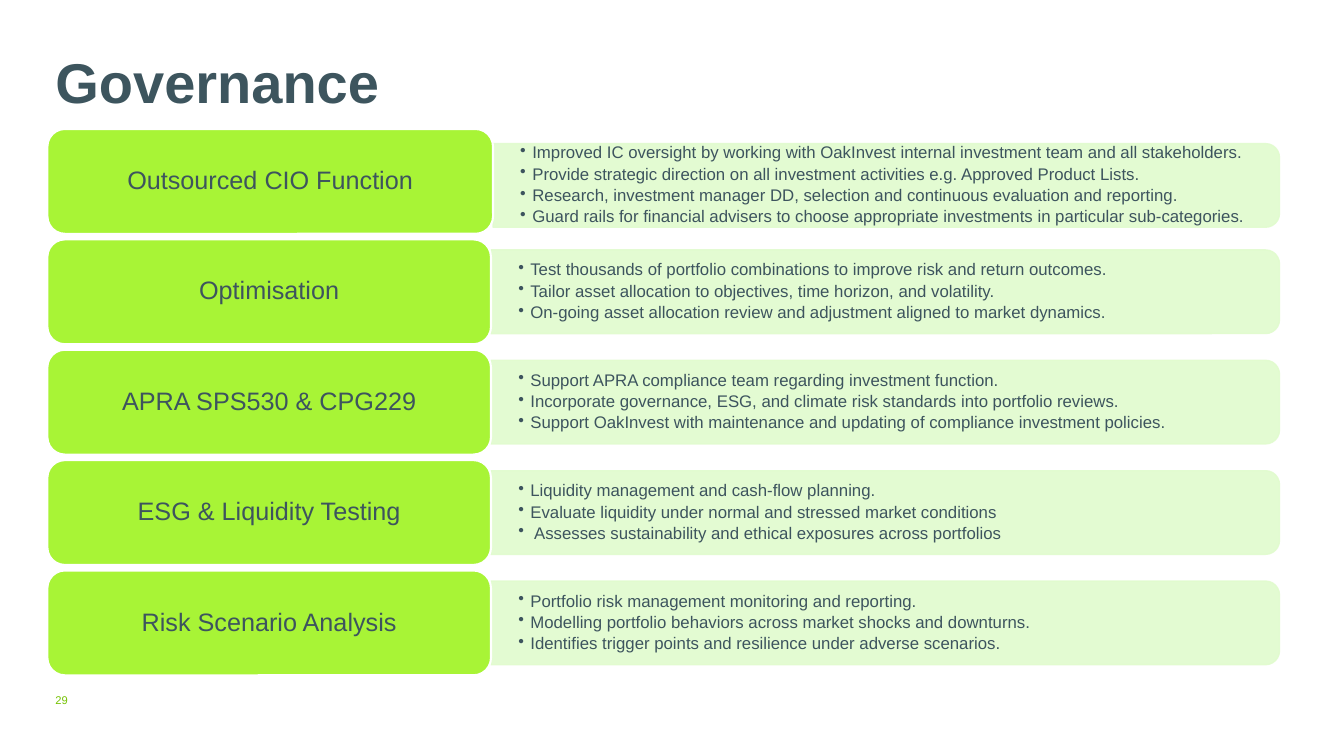
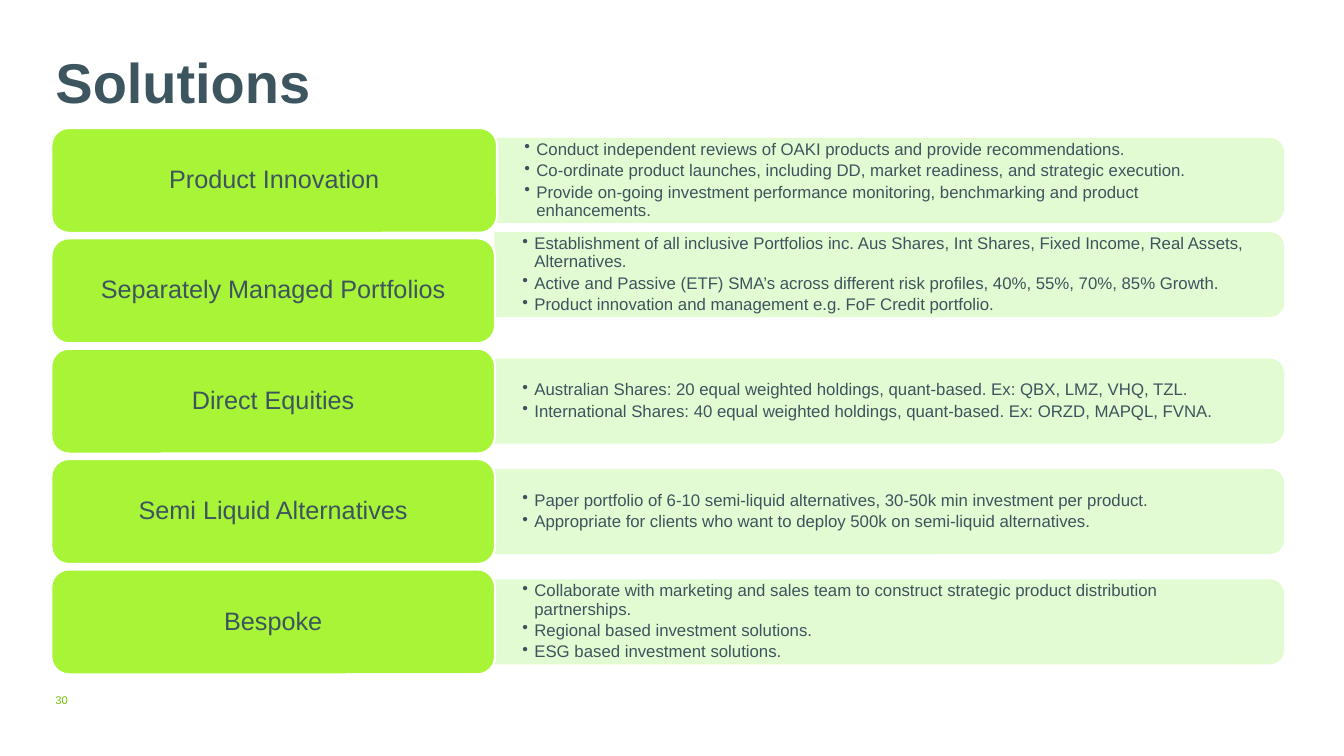
from lxml.etree import SubElement
from pptx import Presentation
from pptx.dml.color import RGBColor
from pptx.enum.shapes import MSO_SHAPE
from pptx.enum.text import MSO_ANCHOR, MSO_AUTO_SIZE, PP_ALIGN
from pptx.oxml.ns import qn
from pptx.util import Inches, Pt

ROW_PITCH = 1.095
LABEL_HEIGHT = 1.04
PANEL_HEIGHT = 0.83
PANEL_OPACITY = 90

SLIDES = [
    {
        "title": "Governance",
        "number": "29",
        "left": 0.47,
        "top": 1.28,
        "shifts": {0: 0.04},
        "rows": [
            ("Outsourced CIO Function", [
                "Improved IC oversight by working with OakInvest internal investment team and all stakeholders.",
                "Provide strategic direction on all investment activities e.g. Approved Product Lists.",
                "Research, investment manager DD, selection and continuous evaluation and reporting.",
                "Guard rails for financial advisers to choose appropriate investments in particular sub-categories.",
            ]),
            ("Optimisation", [
                "Test thousands of portfolio combinations to improve risk and return outcomes.",
                "Tailor asset allocation to objectives, time horizon, and volatility.",
                "On-going asset allocation review and adjustment aligned to market dynamics.",
            ]),
            ("APRA SPS530 & CPG229", [
                "Support APRA compliance team regarding investment function.",
                "Incorporate governance, ESG, and climate risk standards into portfolio reviews.",
                "Support OakInvest with maintenance and updating of compliance investment policies.",
            ]),
            ("ESG & Liquidity Testing", [
                "Liquidity management and cash-flow planning.",
                "Evaluate liquidity under normal and stressed market conditions",
                " Assesses sustainability and ethical exposures across portfolios",
            ]),
            ("Risk Scenario Analysis", [
                "Portfolio risk management monitoring and reporting.",
                "Modelling portfolio behaviors across market shocks and downturns.",
                "Identifies trigger points and resilience under adverse scenarios.",
            ]),
        ],
    },
    {
        "title": "Solutions",
        "number": "30",
        "left": 0.51,
        "top": 1.27,
        "shifts": {1: -0.16},
        "rows": [
            ("Product Innovation", [
                "Conduct independent reviews of OAKI products and provide recommendations.",
                "Co-ordinate product launches, including DD, market readiness, and strategic execution.",
                "Provide on-going investment performance monitoring, benchmarking and product enhancements.",
            ]),
            ("Separately Managed Portfolios", [
                "Establishment of all inclusive Portfolios inc. Aus Shares, Int Shares, Fixed Income, "
                "Real Assets, Alternatives.",
                "Active and Passive (ETF) SMA’s across different risk profiles, 40%, 55%, 70%, 85% Growth.",
                "Product innovation and management e.g. FoF Credit portfolio.",
            ]),
            ("Direct Equities", [
                "Australian Shares: 20 equal weighted holdings, quant-based. Ex: QBX, LMZ, VHQ, TZL.",
                "International Shares: 40 equal weighted holdings, quant-based. Ex: ORZD, MAPQL, FVNA.",
            ]),
            ("Semi Liquid Alternatives", [
                "Paper portfolio of 6-10 semi-liquid alternatives, 30-50k min investment per product.",
                "Appropriate for clients who want to deploy 500k on semi-liquid alternatives.",
            ]),
            ("Bespoke", [
                "Collaborate with marketing and sales team to construct strategic product distribution partnerships.",
                "Regional based investment solutions.",
                "ESG based investment solutions.",
            ]),
        ],
    },
]


def color(value):
    return RGBColor.from_string(value)


class SlideBuilder:
    font = "Arial"
    title_color = "3D555E"
    text_color = "3D545E"
    number_color = "76C204"
    label_color = "A8F436"
    panel_color = "E1FBCE"
    edge_color = "FFFFFF"

    def __init__(self, deck):
        self.deck = deck
        self.slide = None

    def start(self, title, number):
        self.slide = self.deck.slides.add_slide(self.deck.slide_layouts[5])
        self.title(title)
        self.page_number(number)

    def frame(self, shape, anchor, side=0.0):
        frame = shape.text_frame
        frame.word_wrap = True
        frame.auto_size = MSO_AUTO_SIZE.NONE
        frame.vertical_anchor = anchor
        frame.margin_left = frame.margin_right = Inches(side)
        frame.margin_top = frame.margin_bottom = 0
        return frame

    def add_text(self, para, text, size, text_color, align=PP_ALIGN.LEFT, bold=False):
        para.alignment = align
        para.line_spacing = 0.9
        span = para.add_run()
        span.text = text
        span.font.name = self.font
        span.font.size = Pt(size)
        span.font.bold = bold
        span.font.color.rgb = color(text_color)

    def title(self, text):
        box = self.slide.shapes.title
        box.left, box.top = Inches(0.55), Inches(0.55)
        box.width, box.height = Inches(11.26), Inches(1.44)
        frame = self.frame(box, MSO_ANCHOR.TOP)
        self.add_text(frame.paragraphs[0], text, 40, self.title_color, bold=True)

    def page_number(self, text):
        box = self.slide.shapes.add_textbox(Inches(0.55), Inches(6.84), Inches(0.42), Inches(0.22))
        frame = self.frame(box, MSO_ANCHOR.MIDDLE)
        self.add_text(frame.paragraphs[0], text, 8, self.number_color)

    def shape(self, kind, left, top, width, height, fill, line, weight):
        shape = self.slide.shapes.add_shape(kind, Inches(left), Inches(top), Inches(width), Inches(height))
        shape.shadow.inherit = False
        shape.fill.solid()
        shape.fill.fore_color.rgb = color(fill)
        shape.line.color.rgb = color(line)
        shape.line.width = Pt(weight)
        return shape

    def panel(self, left, middle, width):
        shape = self.shape(
            MSO_SHAPE.ROUND_2_SAME_RECTANGLE,
            left + (width - PANEL_HEIGHT) / 2, middle - width / 2, PANEL_HEIGHT, width,
            self.panel_color, self.panel_color, 1,
        )
        shape.rotation = 90
        for tint in shape._element.spPr.iter(qn("a:srgbClr")):
            SubElement(tint, qn("a:alpha"), val=str(PANEL_OPACITY * 1000))

    def bullets(self, left, middle, width, items):
        box = self.slide.shapes.add_textbox(
            Inches(left), Inches(middle - PANEL_HEIGHT / 2), Inches(width), Inches(PANEL_HEIGHT))
        frame = self.frame(box, MSO_ANCHOR.MIDDLE, 0.27)
        for index, item in enumerate(items):
            para = frame.add_paragraph() if index else frame.paragraphs[0]
            para.space_after = Pt(2.3)
            properties = para._p.get_or_add_pPr()
            properties.set("marL", str(Inches(0.12)))
            properties.set("indent", str(-Inches(0.12)))
            SubElement(properties, qn("a:buChar"), char="•")
            self.add_text(para, item, 12, self.text_color)

    def label(self, left, top, width, text):
        shape = self.shape(MSO_SHAPE.ROUNDED_RECTANGLE, left, top, width, LABEL_HEIGHT,
                           self.label_color, self.edge_color, 1.5)
        frame = self.frame(shape, MSO_ANCHOR.MIDDLE, 0.07)
        self.add_text(frame.paragraphs[0], text, 18, self.text_color, PP_ALIGN.CENTER)

    def rows(self, left, top, rows, shifts):
        right = left + 12.22
        for index, (name, items) in enumerate(rows):
            row_top = top + index * ROW_PITCH
            middle = row_top + LABEL_HEIGHT / 2 + shifts.get(index, 0)
            label_width = 4.4 if index else 4.42
            panel_left = left + label_width
            panel_width = right - panel_left
            self.panel(panel_left, middle, panel_width)
            self.bullets(panel_left, middle, panel_width - 0.04, items)
            self.label(left, row_top, label_width, name)


def main():
    deck = Presentation()
    deck.slide_width, deck.slide_height = Inches(13.33), Inches(7.5)
    builder = SlideBuilder(deck)
    for page in SLIDES:
        builder.start(page["title"], page["number"])
        builder.rows(page["left"], page["top"], page["rows"], page["shifts"])
    deck.save("out.pptx")


if __name__ == "__main__":
    main()
